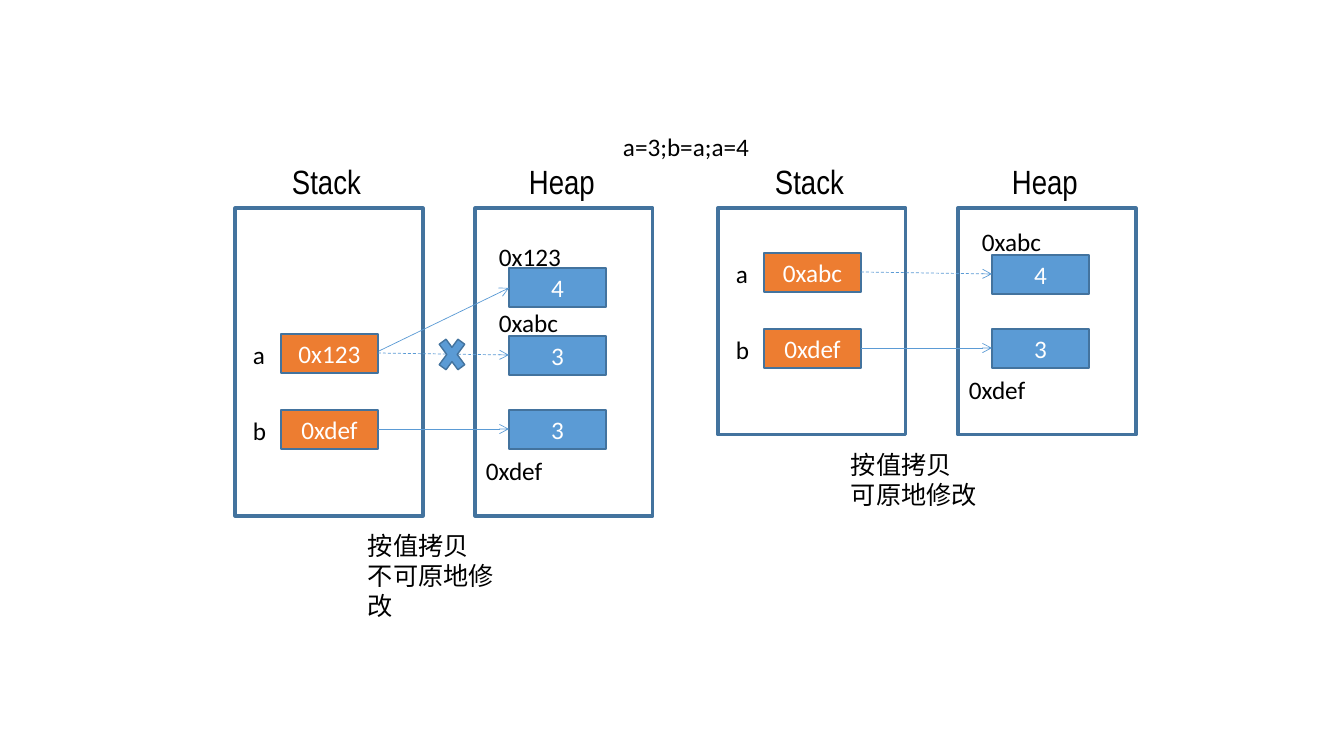
from pptx import Presentation
from pptx.dml.color import RGBColor
from pptx.enum.dml import MSO_LINE
from pptx.enum.shapes import MSO_CONNECTOR, MSO_SHAPE
from pptx.enum.text import MSO_ANCHOR, MSO_AUTO_SIZE, PP_ALIGN
from pptx.oxml.ns import qn
from pptx.util import Pt
from lxml.etree import SubElement

SCALE = 914400 / 100.8
BLACK = RGBColor(0x00, 0x00, 0x00)
WHITE = RGBColor(0xFF, 0xFF, 0xFF)
BLUE = RGBColor(0x5B, 0x9B, 0xD5)
DARK_BLUE = RGBColor(0x43, 0x73, 0x9E)
ORANGE = RGBColor(0xED, 0x7D, 0x31)


def emu(*pixels):
    return [round(pixel * SCALE) for pixel in pixels]


def apply(target, values):
    for name, value in values.items():
        setattr(target, name, value)


class Diagram:
    body = {"name": "Calibri", "size": Pt(18)}
    heading = {"name": "Arial Narrow", "size": Pt(24)}
    label_frame = {"word_wrap": False, "auto_size": MSO_AUTO_SIZE.SHAPE_TO_FIT_TEXT}
    box_frame = {"word_wrap": True, "vertical_anchor": MSO_ANCHOR.MIDDLE}

    def __init__(self, slide):
        self.slide = slide

    def fill_text(self, shape, lines, font, color, frame, alignment):
        apply(shape.text_frame, frame)
        shape.text_frame.text = "\n".join(lines)
        for paragraph in shape.text_frame.paragraphs:
            paragraph.alignment = alignment
            for run in paragraph.runs:
                apply(run.font, font)
                run.font.color.rgb = color

    def label(self, left, top, width, height, *lines, font=body):
        shape = self.slide.shapes.add_textbox(*emu(left, top, width, height))
        self.fill_text(shape, lines, font, BLACK, self.label_frame, PP_ALIGN.LEFT)

    def shape(self, left, top, width, height, fill=None, line=1, kind=MSO_SHAPE.RECTANGLE):
        shape = self.slide.shapes.add_shape(kind, *emu(left, top, width, height))
        shape.shadow.inherit = False
        if fill is None:
            shape.fill.background()
        else:
            shape.fill.solid()
            shape.fill.fore_color.rgb = fill
        shape.line.color.rgb = DARK_BLUE
        shape.line.width = Pt(line)
        return shape

    def cell(self, left, top, text, fill):
        shape = self.shape(left, top, 97, 39, fill)
        self.fill_text(shape, [text], self.body, WHITE, self.box_frame, PP_ALIGN.CENTER)

    def arrow(self, x1, y1, x2, y2, dashed=False):
        connector = self.slide.shapes.add_connector(MSO_CONNECTOR.STRAIGHT, *emu(x1, y1, x2, y2))
        connector.line.color.rgb = BLUE
        connector.line.width = Pt(0.5)
        if dashed:
            connector.line.dash_style = MSO_LINE.DASH
        properties = connector.element.spPr
        SubElement(properties.find(qn("a:ln")), qn("a:tailEnd"), type="arrow")
        SubElement(properties, qn("a:effectLst"))

    def memory(self, left, shift, stack_a, heap_a, caption):
        for title, frame_x, frame_width, title_x, title_width in (
            ("Stack", 0, 188, 47, 96),
            ("Heap", 240, 178, 284, 89),
        ):
            self.shape(left + frame_x, 208, frame_width, 308 + shift, line=2.25)
            self.label(left + title_x, 156, title_width, 50, title, font=self.heading)
        for name, top, drop, address, value, dashed in (
            ("a", 334 + shift, 2, stack_a, heap_a, True),
            ("b", 410 + shift, 0, "0xdef", "3", False),
        ):
            self.label(left + 8, top, 32, 40, name)
            self.cell(left + 46, top, address, ORANGE)
            self.cell(left + 274, top + drop, value, BLUE)
            self.arrow(left + 143, top + 19, left + 274, top + drop + 19, dashed)
        self.label(left + 254, 302 + shift, 80, 40, "0xabc")
        self.label(left + 241, 450 + shift, 77, 40, "0xdef")
        self.label(left + 123, 525 + shift, 21 + 25 * len(caption), 72, "按值拷贝", caption)


presentation = Presentation()
presentation.slide_width, presentation.slide_height = emu(1344, 756)
diagram = Diagram(presentation.slides.add_slide(presentation.slide_layouts[6]))

diagram.label(613, 126, 146, 40, "a=3;b=a;a=4")
diagram.memory(235, 0, "0x123", "3", "不可原地修改")
diagram.memory(718, -81, "0xabc", "4", "可原地修改")
diagram.label(489, 236, 82, 40, "0x123")
diagram.cell(509, 268, "4", BLUE)
diagram.arrow(379, 351, 509, 288)
diagram.shape(434, 330, 36, 49, BLUE, kind=MSO_SHAPE.MATH_MULTIPLY)

presentation.save("out.pptx")
